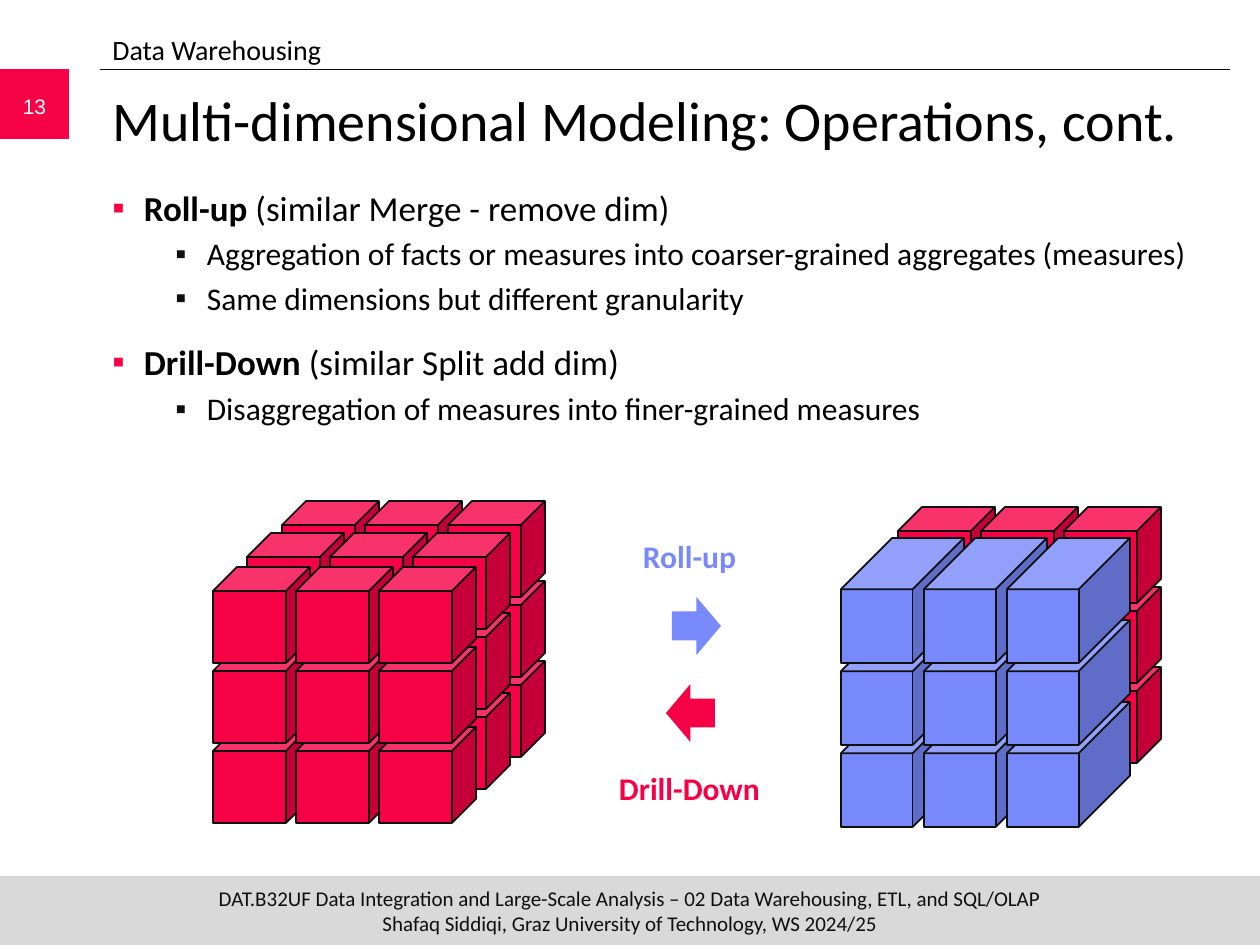
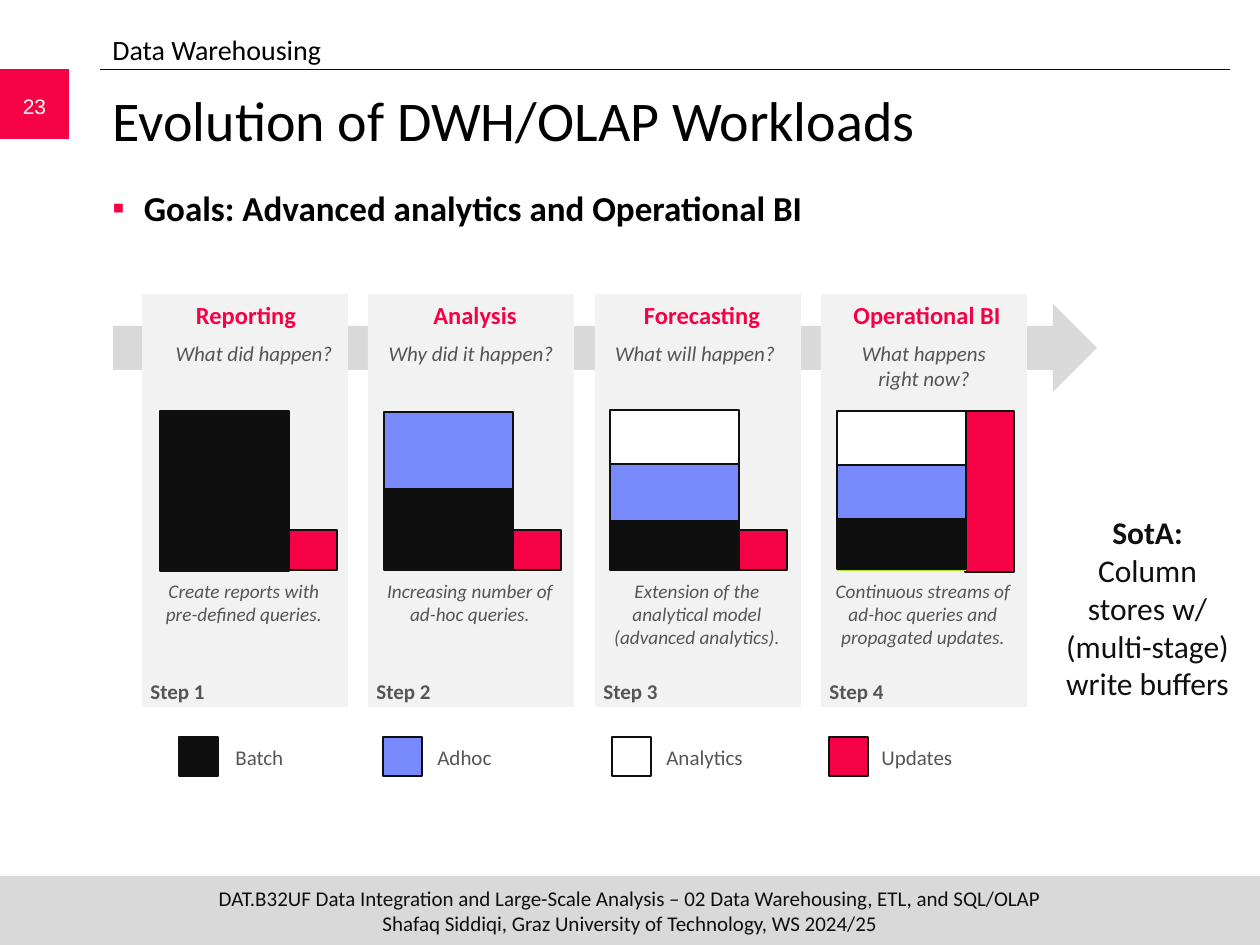
from lxml.etree import SubElement
from pptx import Presentation
from pptx.dml.color import RGBColor
from pptx.enum.shapes import MSO_CONNECTOR, MSO_SHAPE
from pptx.enum.text import MSO_ANCHOR, PP_ALIGN
from pptx.oxml.ns import qn
from pptx.util import Pt

PX = 914400 / 126
RED, BLUE, INK, WHITE, BLACK = "F70146", "7889FB", "0F0F0F", "FFFFFF", "000000"
GREEN, BAND, CARD, GREY = "B2E928", "D9D9D9", "F2F2F2", "555555"
FOOTER = ("DAT.B32UF Data Integration and Large-Scale Analysis – 02 Data Warehousing, ETL, and SQL/OLAP\n"
          "Shafaq Siddiqi, Graz University of Technology, WS 2024/25")


def px(*values):
    """Turn px lengths into EMU."""
    return [round(v * PX) for v in values]


def rgb(code):
    """Turn a hex string into a colour."""
    return RGBColor.from_string(code)


def add_run(p, text, size=12, color=GREY, bold=False, italic=False, font="Calibri"):
    """Append formatted text to a paragraph, with newlines as line breaks."""
    for i, line in enumerate(text.split("\n")):
        if i:
            p.add_line_break()
        if not line:
            continue
        r = p.add_run()
        r.text = line
        r.font.size = Pt(size)
        r.font.name = font
        r.font.bold = bold
        r.font.italic = italic
        r.font.color.rgb = rgb(color)


def add_box(s, x, y, w, h, wrap=True, middle=False, pad=True):
    """Add an empty text box and return its text frame."""
    tf = s.shapes.add_textbox(*px(x, y, w, h)).text_frame
    tf.word_wrap = wrap
    tf.vertical_anchor = MSO_ANCHOR.MIDDLE if middle else MSO_ANCHOR.TOP
    if not pad:
        tf.margin_left = tf.margin_right = 0
    return tf


def add_label(s, box, text, align=PP_ALIGN.CENTER, wrap=True, middle=False, pad=True, **fmt):
    """Add a one-paragraph text box and return the paragraph."""
    p = add_box(s, *box, wrap=wrap, middle=middle, pad=pad).paragraphs[0]
    p.alignment = align
    add_run(p, text, **fmt)
    return p


def add_shape(s, kind, x, y, w, h, fill, line=None):
    """Add a filled preset shape, outlined when a line colour is given."""
    sp = s.shapes.add_shape(kind, *px(x, y, w, h))
    sp.shadow.inherit = False
    sp.fill.solid()
    sp.fill.fore_color.rgb = rgb(fill)
    if line:
        sp.line.color.rgb = rgb(line)
        sp.line.width = Pt(1)
    else:
        sp.line.fill.background()
    return sp


def add_rect(s, *args, **kwargs):
    """Add a rectangle."""
    return add_shape(s, MSO_SHAPE.RECTANGLE, *args, **kwargs)


def add_bullet(p, level):
    """Give a paragraph the square bullet of its level."""
    indent, color = ((0.25, RED), (0.75, INK))[level]
    pPr = p._p.get_or_add_pPr()
    pPr.set("marL", str(round(indent * 914400)))
    pPr.set("indent", str(-228600))
    if level:
        pPr.set("lvl", str(level))
    SubElement(SubElement(pPr, qn("a:buClr")), qn("a:srgbClr")).set("val", color)
    SubElement(pPr, qn("a:buFont")).set("typeface", "Arial")
    SubElement(pPr, qn("a:buChar")).set("char", "▪")


def add_bullets(s, items):
    """Fill the body with (level, bold text, plain text, space before) items."""
    tf = add_box(s, 100, 180, 1129, 680)
    for i, (level, strong, plain, gap) in enumerate(items):
        p = tf.add_paragraph() if i else tf.paragraphs[0]
        add_bullet(p, level)
        p.space_before = Pt(gap)
        size = 18 if level else 20
        add_run(p, strong, size=size, color=BLACK, bold=True)
        add_run(p, plain, size=size, color=BLACK)


def add_slide(prs, number, title):
    """Add a slide with the shared header, number, title and footer."""
    s = prs.slides.add_slide(prs.slide_layouts[6])
    add_rect(s, 0, 876, 1260, 69, BAND)
    add_label(s, (0, 876, 1260, 69), FOOTER, middle=True, pad=False, color=INK)
    rule = s.shapes.add_connector(MSO_CONNECTOR.STRAIGHT, *px(100, 69, 1230, 69))
    rule.line.color.rgb = rgb(INK)
    rule.line.width = Pt(0.5)
    SubElement(rule._element.spPr, qn("a:effectLst"))
    add_rect(s, 0, 69, 69, 70, RED)
    add_label(s, (0, 81, 69, 50), str(number), middle=True, color=WHITE, font="Arial")
    add_label(s, (100, 26, 1134, 45), "Data Warehousing", align=PP_ALIGN.LEFT, size=16, color=BLACK)
    add_label(s, (100, 79, 1129, 105), title, align=PP_ALIGN.LEFT, size=32, color=BLACK)
    return s


def add_cubes(s, left, bottom_row, size, pitch, fill, depth=0.25):
    """Stack three rows of three cubes from the bottom row up."""
    for row in range(3):
        for col in range(3):
            cube = add_shape(s, MSO_SHAPE.CUBE, left + 83 * col, bottom_row - pitch * row, *size, fill, INK)
            cube.adjustments[0] = depth


def add_step(s, number, x, step):
    """Draw one card of the workload evolution."""
    name, name_dx, question, question_dx, summary, bar_dx, updates, bars = step
    add_rect(s, x, 294, 206, 413, CARD)
    add_label(s, (x + name_dx, 294, 206, 43), name, wrap=False, size=14, color=RED, bold=True)
    add_label(s, (x + question_dx, 334, 206, 63), question, wrap=False, italic=True)
    add_rect(s, x + bar_dx + 128, *updates, RED, INK)
    for fill, top, height in bars:
        add_rect(s, x + bar_dx, top, 129, height, fill, None if fill == GREEN else INK)
    add_label(s, (x - 1, 573, 206, 83), summary, size=11, italic=True)
    add_label(s, (x - 5, 672, 81, 38), f"Step {number}", wrap=False, bold=True)


def build_operations(prs):
    """Build the slide on roll-up and drill-down."""
    s = add_slide(prs, 13, "Multi-dimensional Modeling: Operations, cont.")
    add_bullets(s, [
        (0, "Roll-up ", "(similar Merge - remove dim)", 0),
        (1, "", "Aggregation of facts or measures into coarser-grained aggregates (measures)", 3.6),
        (1, "", "Same dimensions but different granularity", 3.6),
        (0, "Drill-Down ", "(similar Split add dim)", 14),
        (1, "", "Disaggregation of measures into finer-grained measures", 3.6),
    ])
    for left, bottom_row in ((282, 661), (247, 693), (213, 727), (898, 667)):
        add_cubes(s, left, bottom_row, (97, 96), 80, RED)
    add_cubes(s, 841, 702, (123, 125), 82, BLUE, depth=0.417)
    add_shape(s, MSO_SHAPE.RIGHT_ARROW, 672, 597, 49, 58, BLUE)
    add_shape(s, MSO_SHAPE.LEFT_ARROW, 666, 684, 49, 58, RED)
    for text, y, color in (("Roll-up", 531, BLUE), ("Drill-Down", 763, RED)):
        add_label(s, (604, y, 171, 50), text, pad=False, size=18, color=color, bold=True)


def build_evolution(prs):
    """Build the slide on the evolution of workloads."""
    s = add_slide(prs, 23, "Evolution of DWH/OLAP Workloads")
    add_bullets(s, [(0, "Goals: Advanced analytics and Operational BI", "", 0)])
    add_shape(s, MSO_SHAPE.RIGHT_ARROW, 113, 304, 984, 88, BAND)
    few_updates = (530, 49, 40)
    steps = [
        ("Reporting", 1, "What did happen?", 9, "Create reports with pre-defined queries.",
         18, few_updates, [(INK, 411, 160)]),
        ("Analysis", 4, "Why did it happen?", 0, "Increasing number of ad-hoc queries.",
         16, few_updates, [(INK, 489, 81), (BLUE, 412, 77)]),
        ("Forecasting", 4, "What will happen?", -3,
         "Extension of the\nanalytical model (advanced analytics).",
         15, few_updates, [(INK, 521, 49), (BLUE, 460, 61), (WHITE, 410, 54)]),
        ("Operational BI", 3, "What happens\nright now?", 0,
         "Continuous streams of\nad-hoc queries and\npropagated updates.",
         16, (411, 49, 161), [(GREEN, 530, 41), (INK, 519, 50), (BLUE, 462, 57), (WHITE, 411, 54)]),
    ]
    for i, step in enumerate(steps):
        add_step(s, i + 1, 142 + 453 * i // 2, step)
    legend = [("Batch", 179, 223, INK), ("Adhoc", 383, 425, BLUE),
              ("Analytics", 612, 654, WHITE), ("Updates", 829, 869, RED)]
    for name, swatch_x, name_x, fill in legend:
        add_rect(s, swatch_x, 737, 39, 39, fill, INK)
        add_label(s, (name_x, 738, 110, 38), name, align=PP_ALIGN.LEFT)
    p = add_label(s, (1056, 507, 183, 204), "SotA:\n", pad=False, size=18, color=INK, bold=True)
    add_run(p, "Column stores w/\n(multi-stage)\nwrite buffers", size=18, color=INK)


def main():
    """Build and save the presentation."""
    prs = Presentation()
    prs.slide_width, prs.slide_height = px(1260, 945)
    build_operations(prs)
    build_evolution(prs)
    prs.save("out.pptx")


if __name__ == "__main__":
    main()
